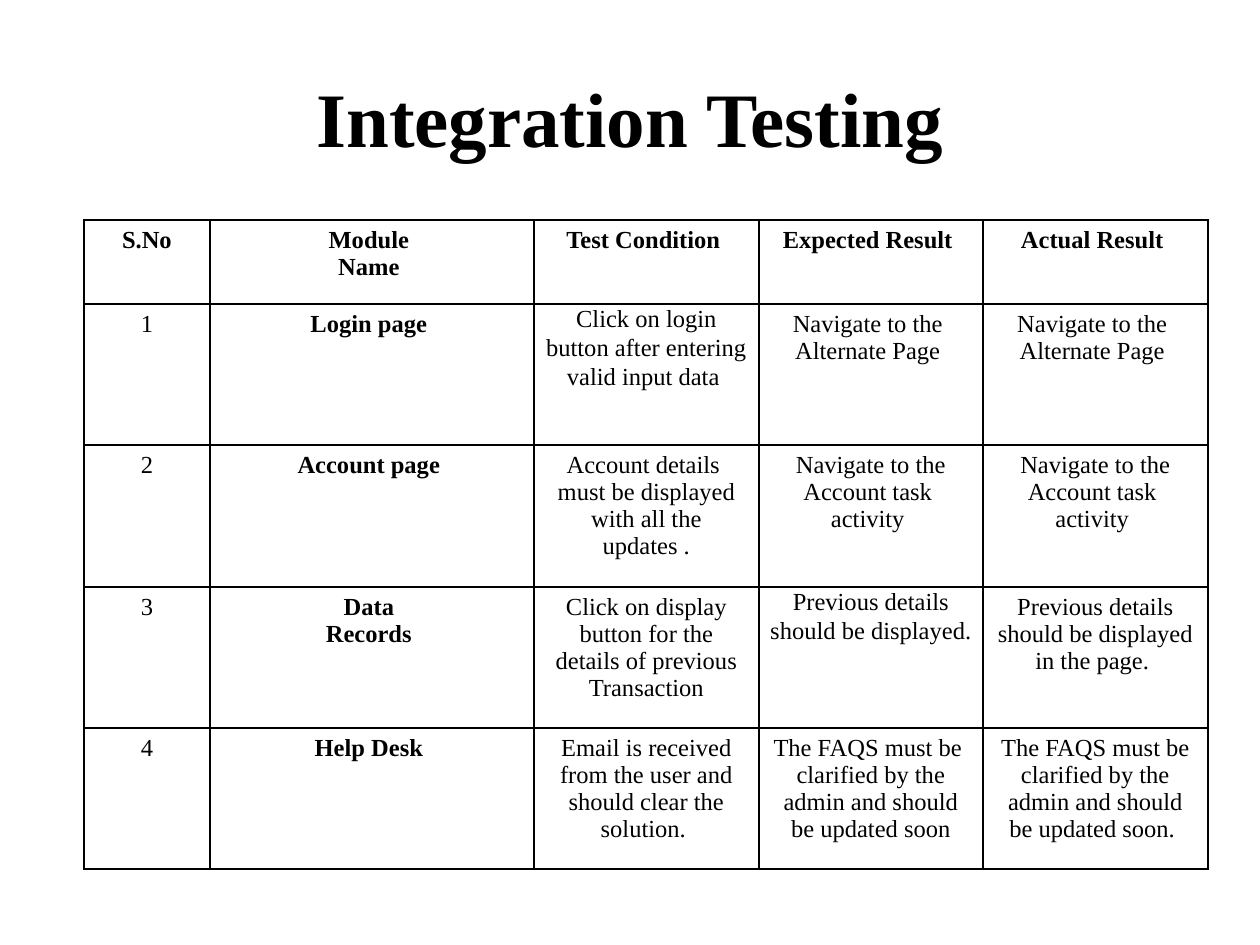
import pptx
import pptx.dml.color
import pptx.enum.text
import pptx.oxml.ns
import pptx.util
import lxml.etree

EMU_PER_PIXEL = 914400 // 126
FONT = "Times New Roman"
BLACK = "000000"
WHITE = "FFFFFF"
COLUMN_WIDTHS = [126, 324, 225, 224, 225]
ROW_HEIGHTS = [84, 141, 142, 141, 141]
MODULE_COLUMN = 1
TIGHT_CELLS = {(1, 2), (3, 3)}
TEST_CASES = [
    ["S.No", "Module \nName ", "Test Condition ", "Expected Result ", "Actual Result "],
    ["1", "Login page ",
     "Click on login button after entering valid input data ",
     "Navigate to the \nAlternate Page ",
     "Navigate to the \nAlternate Page "],
    ["2", "Account page ",
     "Account details  must be displayed with all the updates .",
     "Navigate to the Account task \nactivity ",
     "Navigate to the Account task \nactivity "],
    ["3", "Data \nRecords ",
     "Click on display button for the details of previous Transaction",
     "Previous details should be displayed. ",
     "Previous details should be displayed in the page. "],
    ["4", "Help Desk ",
     "Email is received from the user and should clear the solution. ",
     "The FAQS must be \nclarified by the admin and should be updated soon",
     "The FAQS must be clarified by the admin and should be updated soon. "],
]


def px(length):
    return pptx.util.Emu(length * EMU_PER_PIXEL)


def color(hex_string):
    return pptx.dml.color.RGBColor.from_string(hex_string)


def format_paragraph(paragraph, size, bold):
    paragraph.alignment = pptx.enum.text.PP_ALIGN.CENTER
    paragraph.font.name = FONT
    paragraph.font.size = pptx.util.Pt(size)
    paragraph.font.bold = bold
    paragraph.font.color.rgb = color(BLACK)


def add_borders(cell):
    properties = cell._tc.get_or_add_tcPr()
    for side in ("a:lnL", "a:lnR", "a:lnT", "a:lnB"):
        border = lxml.etree.SubElement(
            properties, pptx.oxml.ns.qn(side), w=str(pptx.util.Pt(1)))
        fill = lxml.etree.SubElement(border, pptx.oxml.ns.qn("a:solidFill"))
        lxml.etree.SubElement(fill, pptx.oxml.ns.qn("a:srgbClr"), val=BLACK)


def place_heading(slide, left, top, width, height):
    heading = slide.shapes.title
    heading.left, heading.top = px(left), px(top)
    heading.width, heading.height = px(width), px(height)
    heading.text_frame.text = "Integration Testing"
    heading.text_frame.vertical_anchor = pptx.enum.text.MSO_ANCHOR.MIDDLE
    format_paragraph(heading.text_frame.paragraphs[0], 44, True)


def fill_test_cell(cell, wording, bold, tight):
    cell.text = wording
    add_borders(cell)
    cell.fill.solid()
    cell.fill.fore_color.rgb = color(WHITE)
    for paragraph in cell.text_frame.paragraphs:
        format_paragraph(paragraph, 14, bold)
        if tight:
            paragraph.line_spacing = 1.07
    if tight:
        cell.margin_left = cell.margin_right = px(9)
        cell.margin_top = cell.margin_bottom = 0


def place_test_cases(slide, left, top, width, height):
    test_cases = slide.shapes.add_table(
        len(ROW_HEIGHTS), len(COLUMN_WIDTHS),
        px(left), px(top), px(width), px(height)).table
    for column, share in zip(test_cases.columns, COLUMN_WIDTHS):
        column.width = px(round(width * share / sum(COLUMN_WIDTHS)))
    for row, share in zip(test_cases.rows, ROW_HEIGHTS):
        row.height = px(round(height * share / sum(ROW_HEIGHTS)))
    for r, test_case in enumerate(TEST_CASES):
        for c, wording in enumerate(test_case):
            fill_test_cell(test_cases.cell(r, c), wording,
                           r == 0 or c == MODULE_COLUMN, (r, c) in TIGHT_CELLS)


def build():
    deck = pptx.Presentation()
    deck.slide_width, deck.slide_height = px(1260), px(945)
    slide = deck.slides.add_slide(deck.slide_layouts[5])
    place_heading(slide, 63, 38, 1134, 158)
    place_test_cases(slide, 84, 220, sum(COLUMN_WIDTHS), sum(ROW_HEIGHTS))
    deck.save("out.pptx")


build()
